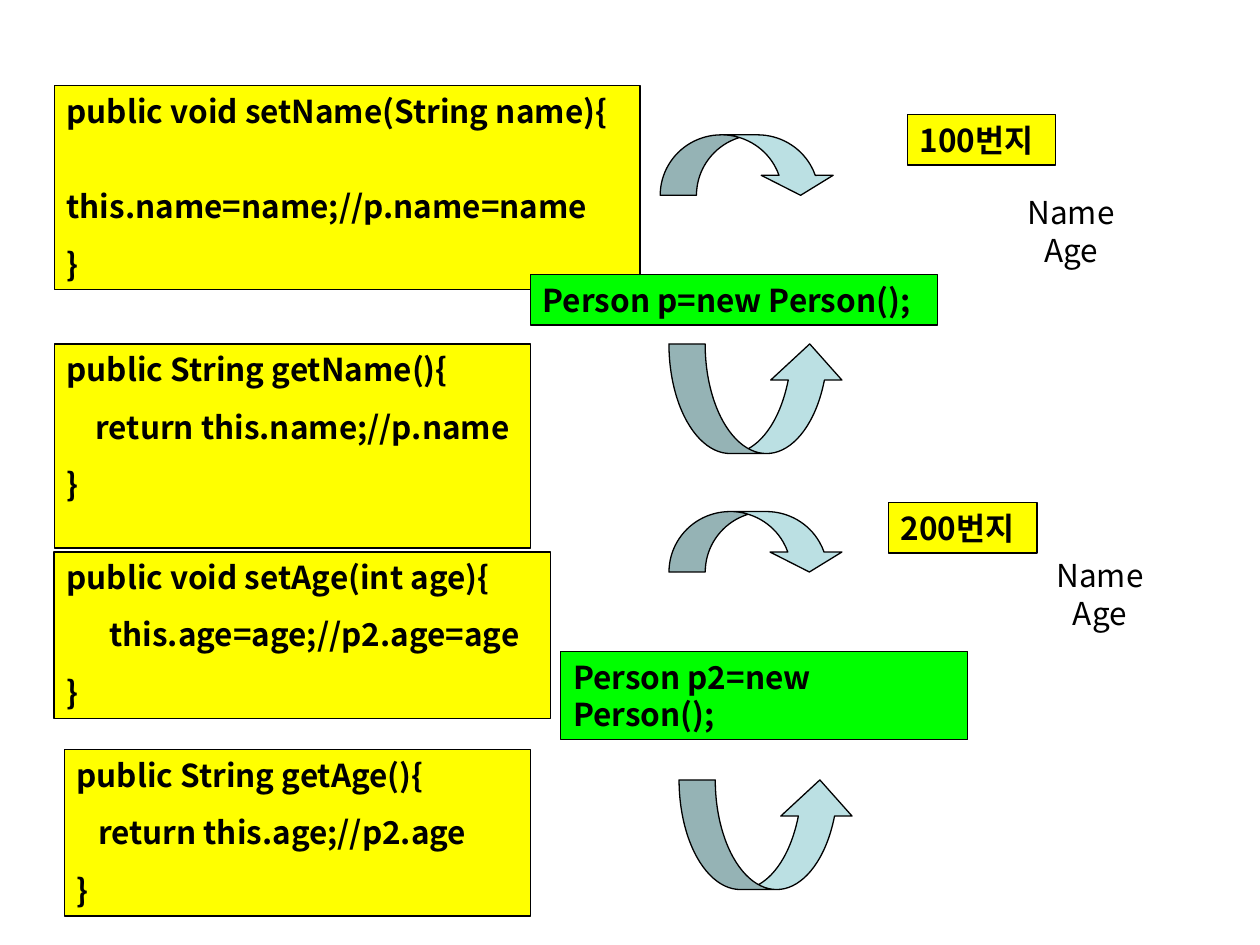
import pptx
import pptx.util
import pptx.dml.color
import pptx.enum.shapes
import pptx.enum.text
import pptx.oxml.ns
import lxml.etree

Inches, Pt = pptx.util.Inches, pptx.util.Pt
SHAPE = pptx.enum.shapes.MSO_SHAPE
ALIGN = pptx.enum.text.PP_ALIGN
ANCHOR = pptx.enum.text.MSO_ANCHOR
FONT = "Noto Sans CJK KR"
YELLOW, GREEN, TEAL, BLACK = "FFFF00", "00FF00", "BBE0E3", "000000"


def color(hex_string):
    return pptx.dml.color.RGBColor.from_string(hex_string)


def write_lines(frame, lines, bold, paragraph_format):
    """Each line is (text, left indent in inches, space before in points)."""
    frame.word_wrap = True
    for index, (text, indent, space) in enumerate(lines):
        paragraph = frame.paragraphs[0] if index == 0 else frame.add_paragraph()
        for key, value in paragraph_format.items():
            setattr(paragraph, key, value)
        paragraph.space_before = Pt(space)
        if indent:
            paragraph._p.get_or_add_pPr().set("marL", str(Inches(indent)))
        run = paragraph.add_run()
        run.text = text
        for key, value in {"name": FONT, "size": Pt(18), "bold": bold}.items():
            setattr(run.font, key, value)
        run.font.color.rgb = color(BLACK)
        east_asian = lxml.etree.SubElement(run._r.get_or_add_rPr(), pptx.oxml.ns.qn("a:ea"))
        east_asian.set("typeface", FONT)


presentation = pptx.Presentation()
presentation.slide_width, presentation.slide_height = Inches(10), Inches(7.5)
slide = presentation.slides.add_slide(presentation.slide_layouts[6])

# Code boxes, constructor calls and address tags
GAP = 11.2
WRAPPED_GAP = 33
boxes = [
    (0.43, 2.73, 3.78, 1.62, YELLOW, [("public String getName(){", 0, GAP),
                                      ("return this.name;//p.name", 0.23, GAP), ("}", 0, GAP)]),
    (0.43, 0.68, 4.65, 1.62, YELLOW, [("public void setName(String name){", 0, GAP),
                                      ("this.name=name;//p.name=name", 0, WRAPPED_GAP), ("}", 0, GAP)]),
    (4.21, 2.18, 3.23, 0.4, GREEN, [("Person p=new Person();", 0, GAP)]),
    (0.51, 5.95, 3.7, 1.32, YELLOW, [("public String getAge(){", 0, GAP),
                                     ("return this.age;//p2.age", 0.17, GAP), ("}", 0, GAP)]),
    (0.43, 4.38, 3.94, 1.32, YELLOW, [("public void setAge(int age){", 0, GAP),
                                      ("this.age=age;//p2.age=age", 0.34, GAP), ("}", 0, GAP)]),
    (4.45, 5.17, 3.23, 0.7, GREEN, [("Person p2=new Person();", 0, GAP)]),
    (7.2, 0.91, 1.18, 0.4, YELLOW, [("100번지", 0, GAP)]),
    (7.05, 3.99, 1.18, 0.4, YELLOW, [("200번지", 0, GAP)]),
]
for left, top, width, height, fill, lines in boxes:
    box = slide.shapes.add_shape(SHAPE.RECTANGLE, Inches(left), Inches(top), Inches(width), Inches(height))
    box.shadow.inherit = False
    box.fill.solid()
    box.fill.fore_color.rgb = color(fill)
    box.line.color.rgb = color(BLACK)
    box.line.width = Pt(0.75)
    box.text_frame.vertical_anchor = ANCHOR.TOP
    write_lines(box.text_frame, lines, True, {"alignment": ALIGN.LEFT})

# Curved arrows between code and objects
DOWN = (SHAPE.CURVED_DOWN_ARROW, 0.48, (0.6, 1.19, 0.33))
UP = (SHAPE.CURVED_UP_ARROW, 0.87, (0.33, 0.65, 0.33))
for left, top, (preset, height, adjustments) in [
    (5.24, 1.07, DOWN), (5.31, 2.73, UP), (5.31, 4.06, DOWN), (5.39, 6.19, UP),
]:
    arrow = slide.shapes.add_shape(preset, Inches(left), Inches(top), Inches(1.4), Inches(height))
    for index, value in enumerate(adjustments):
        arrow.adjustments[index] = value
    arrow.shadow.inherit = False
    arrow.fill.solid()
    arrow.fill.fore_color.rgb = color(TEAL)
    arrow.line.color.rgb = color(BLACK)
    arrow.line.width = Pt(0.75)

# Fields of the two Person objects
for left, top in [(8, 1.5), (8.23, 4.38)]:
    fields = slide.shapes.add_textbox(Inches(left), Inches(top), Inches(1), Inches(0.67))
    fields.text_frame.vertical_anchor = ANCHOR.MIDDLE
    write_lines(fields.text_frame, [("Name", 0, 0), ("Age", 0, 0)], False, {"alignment": ALIGN.CENTER})

presentation.save("out.pptx")
